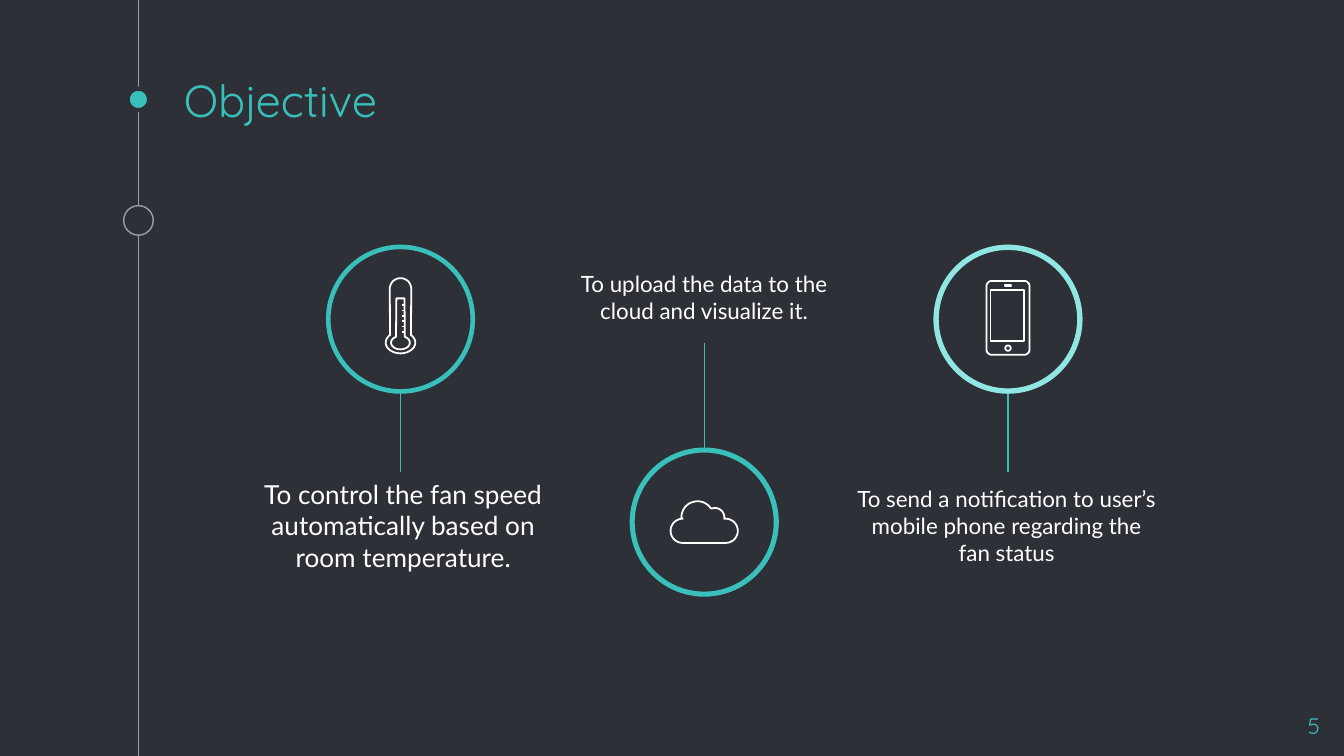
from math import cos, radians, sin

from pptx import Presentation
from pptx.dml.color import RGBColor
from pptx.enum import shapes, text
from pptx.oxml.ns import qn
from pptx.util import Inches, Pt

DARK = RGBColor(0x2E, 0x30, 0x37)
GREY = RGBColor(0x99, 0x9F, 0xA9)
TEAL = RGBColor(0x39, 0xC0, 0xBA)
MINT = RGBColor(0x90, 0xE6, 0xE2)
WHITE = RGBColor(0xFF, 0xFF, 0xFF)

WIDE = 10
HIGH = WIDE * 9 / 16
RAIL = 1.03                    # x of the timeline
FIRST, STEP = 2.98, 2.26       # middle of first column, column pitch
UP, DOWN = 1.82, 3.33          # tops of the two ring rows
RING = 1.11

# words, size, text box (left, top, width, height), space before,
# ring top, ring width share, ring colour, stem (from, to)
GOALS = [
    ("To control the fan speed automatically based on room temperature.",
     14, (1.79, 3.46, 2.42, 0.84), 6, UP, 0.031, TEAL, (2.93, 3.51)),
    ("To upload the data to the cloud and visualize it.",
     12, (4.11, 1.91, 2.26, 0.64), 0, DOWN, 0.034, TEAL, (3.33, 2.55)),
    ("To send a notification to user’s mobile phone regarding the fan status",
     12, (6.28, 3.51, 2.42, 0.84), 0, UP, 0.036, MINT, (2.93, 3.51)),
]


def arc(x, y, rx, ry, start, end, steps=20):
    """Points on an ellipse, in degrees clockwise from the right."""
    turns = [radians(start + (end - start) * i / steps) for i in range(steps + 1)]
    return [(x + rx * cos(t), y + ry * sin(t)) for t in turns]


def box(left, top, right, bottom, r=0):
    """Outline of a rectangle with corner radius r."""
    if not r:
        return [(left, top), (right, top), (right, bottom), (left, bottom)]
    mids = [(left + r, top + r, 180), (right - r, top + r, 270),
            (right - r, bottom - r, 0), (left + r, bottom - r, 90)]
    return [p for x, y, a in mids for p in arc(x, y, r, r, a, a + 90, 6)]


TUBE = (arc(2.98, 2.15, 0.08, 0.08, 180, 360)
        + arc(2.98, 2.55, 0.11, 0.08, -45, 225))
MERCURY = ([(2.95, 2.22), (3.01, 2.22)]
           + arc(2.98, 2.55, 0.07, 0.05, -62, 242))
CLOUD = (arc(5.08, 3.95, 0.09, 0.09, 90, 270)
         + arc(5.19, 3.85, 0.12, 0.12, 180, 325)
         + arc(5.32, 3.85, 0.07, 0.07, 250, 368)
         + arc(5.4, 3.95, 0.09, 0.09, 270, 450))
PHONE = [box(7.34, 2.09, 7.66, 2.64, 0.04), box(7.37, 2.16, 7.62, 2.54),
         box(7.48, 2.12, 7.52, 2.13), arc(7.5, 2.59, 0.02, 0.02, 0, 360)]
ICONS = [[TUBE], [MERCURY], [CLOUD], PHONE]
TICKS = [2.27 + 0.04 * i for i in range(6)]

deck = Presentation()
deck.slide_width, deck.slide_height = Inches(WIDE), Inches(HIGH)
page = deck.slides.add_slide(deck.slide_layouts[6])
page.background.fill.solid()
page.background.fill.fore_color.rgb = DARK
parts = page.shapes


def line(x1, y1, x2, y2, color, width=0.75):
    ends = [Inches(v) for v in (x1, y1, x2, y2)]
    bar = parts.add_connector(shapes.MSO_CONNECTOR.STRAIGHT, *ends)
    bar.line.color.rgb, bar.line.width = color, Pt(width)
    props = bar._element.spPr
    props.append(props.makeelement(qn("a:effectLst"), {}))


def round_shape(kind, x, y, size, fill, edge=None, width=0.75):
    """A circle or ring centred at x, y."""
    item = parts.add_shape(kind, Inches(x - size / 2), Inches(y - size / 2),
                           Inches(size), Inches(size))
    item.shadow.inherit = False
    item.fill.solid()
    item.fill.fore_color.rgb = fill
    if edge:
        item.line.color.rgb, item.line.width = edge, Pt(width)
    else:
        item.line.fill.background()
    return item


def label(words, at, size, font, color, align="LEFT", anchor="TOP", before=0):
    frame = parts.add_textbox(*[Inches(v) for v in at]).text_frame
    frame.word_wrap = True
    frame.vertical_anchor = text.MSO_ANCHOR[anchor]
    frame.margin_left = frame.margin_right = Inches(0.1)
    frame.margin_top = frame.margin_bottom = Inches(0.1)
    frame.text = words
    para = frame.paragraphs[0]
    para.alignment = text.PP_ALIGN[align]
    para.space_before = Pt(before)
    run = para.runs[0]
    run.font.name, run.font.size, run.font.color.rgb = font, Pt(size), color
    run._r.get_or_add_rPr().set("kern", "0")    # no pair kerning


def draw(loops):
    """One white outline made of closed loops."""
    loops = [[(x * 1000, y * 1000) for x, y in loop] for loop in loops]
    pen = parts.build_freeform(*loops[0][0], scale=914.4)
    for i, loop in enumerate(loops):
        if i:
            pen.move_to(*loop[0])
        pen.add_line_segments(loop[1:], close=True)
    icon = pen.convert_to_shape()
    icon.shadow.inherit = False
    icon.fill.background()
    icon.line.color.rgb, icon.line.width = WHITE, Pt(0.96)


OVAL, DONUT = shapes.MSO_SHAPE.OVAL, shapes.MSO_SHAPE.DONUT
line(RAIL, 0, RAIL, HIGH, GREY)
round_shape(OVAL, RAIL, 0.74, 0.16, TEAL, DARK, 2.25)
round_shape(OVAL, RAIL, 1.64, 0.22, DARK, GREY)
label("Objective", (1.27, 0.66, 7.5, 0.38), 24, "Quicksand", TEAL, anchor="BOTTOM")
label("5", (9.32, 5.2, 0.6, 0.34), 12, "Quicksand", TEAL, "RIGHT")

for i, (words, size, at, before, y, rim, color, stem) in enumerate(GOALS):
    mid = FIRST + STEP * i
    label(words, at, size, "Lato", WHITE, "CENTER", before=before)
    ring = round_shape(DONUT, mid, y + RING / 2, RING, color)
    ring.adjustments[0] = rim
    line(mid, stem[0], mid, stem[1], TEAL)

for loops in ICONS:
    draw(loops)
for y in TICKS:
    line(2.99, y, 3.01, y, WHITE, 0.96)

deck.save("out.pptx")
